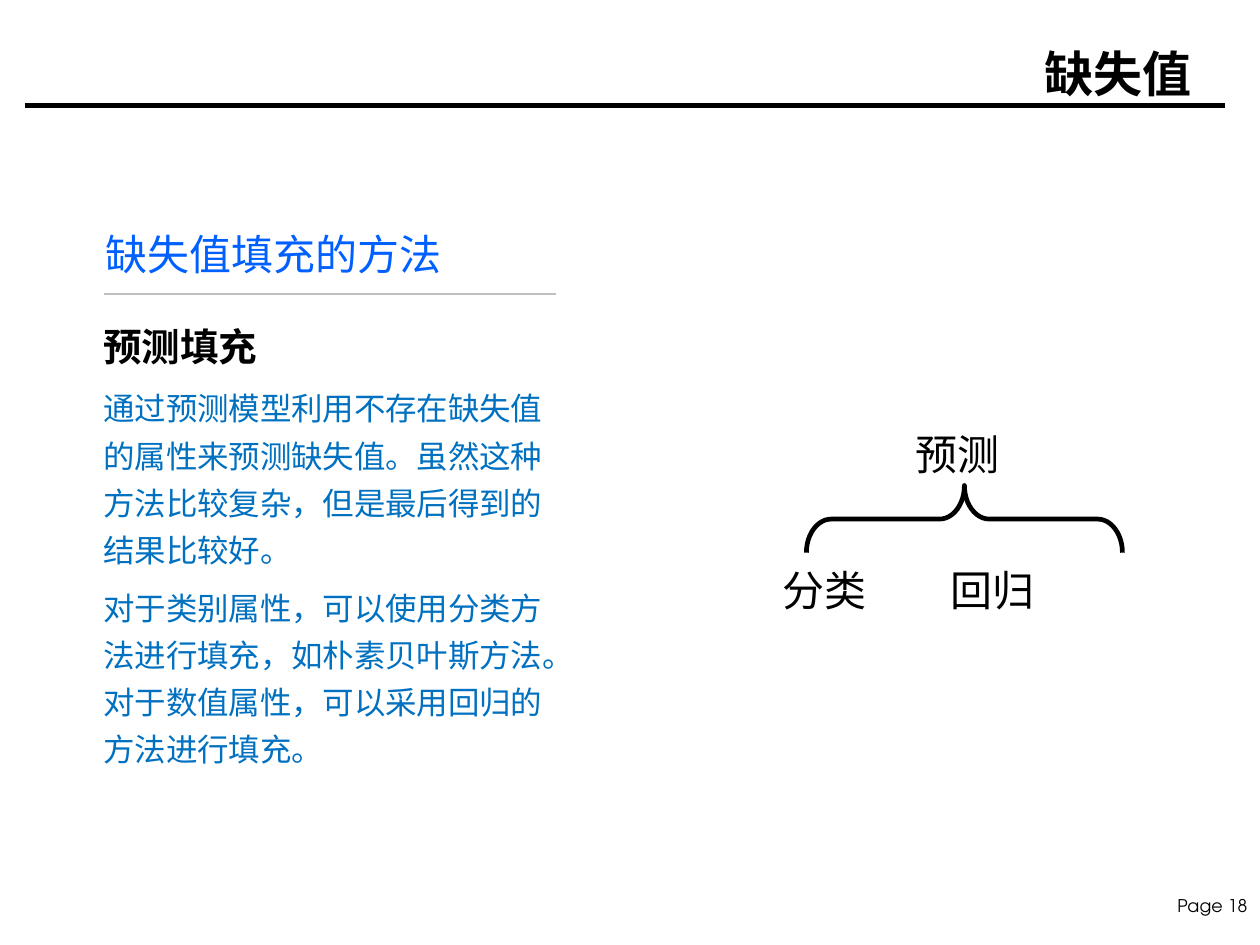
from dataclasses import dataclass

from lxml import etree
from pptx import Presentation
from pptx.dml.color import RGBColor
from pptx.enum.shapes import MSO_CONNECTOR, MSO_SHAPE
from pptx.enum.text import MSO_ANCHOR, MSO_AUTO_SIZE, PP_ALIGN
from pptx.oxml.ns import qn
from pptx.util import Pt

LEFT, RIGHT = PP_ALIGN.LEFT, PP_ALIGN.RIGHT
TOP = MSO_ANCHOR.TOP
NO_AUTOFIT = MSO_AUTO_SIZE.NONE
STRAIGHT = MSO_CONNECTOR.STRAIGHT
LEFT_BRACE = MSO_SHAPE.LEFT_BRACE


@dataclass(frozen=True)
class Theme:
    cjk: str = "Noto Sans CJK SC"
    latin: str = "TeX Gyre Adventor"
    black: str = "000000"
    heading_blue: str = "0060FF"
    body_blue: str = "0070C0"
    gray: str = "BFBFBF"
    title_size: float = 21
    heading_size: float = 18
    subheading_size: float = 16.5
    body_size: float = 13.5
    page_size: float = 7.5


THEME = Theme()


@dataclass(frozen=True)
class Para:
    text: str
    size: float
    color: str = THEME.black
    font: str = THEME.cjk
    bold: bool = False
    align: PP_ALIGN = LEFT
    line_spacing: float = 1.0
    space_before: float = 0
    tab: float = 0


@dataclass(frozen=True)
class TextBlock:
    left: float
    top: float
    width: float
    height: float
    paras: tuple[Para, ...]
    inset: tuple[float, float] = (7.2, 3.6)


@dataclass(frozen=True)
class Rule:
    left: float
    right: float
    y: float
    color: str
    weight: float


def set_all(target, values: dict) -> None:
    for name, value in values.items():
        setattr(target, name, value)


def write_para(para, item: Para) -> None:
    props = para._p.get_or_add_pPr()
    set_all(para, {"alignment": item.align, "line_spacing": item.line_spacing,
                   "space_before": Pt(item.space_before)})
    props.set("marL", "0")
    props.set("indent", "0")
    etree.SubElement(props, qn("a:buNone"))
    if item.tab:
        tabs = etree.SubElement(props, qn("a:tabLst"))
        etree.SubElement(tabs, qn("a:tab"), pos=str(Pt(item.tab)), algn="l")
    span = para.add_run()
    span.text = item.text
    set_all(span.font, {"size": Pt(item.size), "bold": item.bold, "name": item.font})
    span.font.color.rgb = RGBColor.from_string(item.color)
    etree.SubElement(span._r.get_or_add_rPr(), qn("a:ea"), typeface=item.font)


def fill_box(box, block: TextBlock) -> None:
    set_all(box, {name: Pt(getattr(block, name))
                  for name in ("left", "top", "width", "height")})
    frame = box.text_frame
    side, end = (Pt(value) for value in block.inset)
    set_all(frame, {"word_wrap": True, "auto_size": NO_AUTOFIT,
                    "vertical_anchor": TOP, "margin_left": side,
                    "margin_right": side, "margin_top": end, "margin_bottom": end})
    for index, item in enumerate(block.paras):
        write_para(frame.add_paragraph() if index else frame.paragraphs[0], item)


def draw_rule(page, rule: Rule) -> None:
    line = page.shapes.add_connector(
        STRAIGHT, Pt(rule.left), Pt(rule.y), Pt(rule.right), Pt(rule.y))
    line.line.color.rgb = RGBColor.from_string(rule.color)
    line.line.width = Pt(rule.weight)
    etree.SubElement(line._element.spPr, qn("a:effectLst"))


def draw_brace(page) -> None:
    brace = page.shapes.add_shape(LEFT_BRACE, Pt(398.9), Pt(154.8), Pt(28.8), Pt(135.4))
    brace.rotation = 90
    brace.shadow.inherit = False
    brace.adjustments[0] = 0.37
    brace.adjustments[1] = 0.5
    brace.fill.background()
    brace.line.color.rgb = RGBColor.from_string(THEME.black)
    brace.line.width = Pt(2)


TITLE = TextBlock(31.7, 15.1, 486, 67.7, (
    Para("缺失值", THEME.title_size, bold=True, align=RIGHT),))

BODY = TextBlock(38.9, 126, 208.8, 234, (
    Para("预测填充", THEME.subheading_size, bold=True, line_spacing=1.5),
    *(Para(text, THEME.body_size, THEME.body_blue, line_spacing=1.25, space_before=4.5)
      for text in (
          "通过预测模型利用不存在缺失值的属性来预测缺失值。虽然这种方法比较复杂，但是最后得到的结果比较好。",
          "对于类别属性，可以使用分类方法进行填充，如朴素贝叶斯方法。对于数值属性，可以采用回归的方法进行填充。")),
), inset=(5.4, 2.7))

TEXT_BOXES = (
    TextBlock(38.2, 94.3, 208.8, 28.8, (
        Para("缺失值填充的方法", THEME.heading_size, THEME.heading_blue),)),
    TextBlock(385.2, 180, 56.9, 51.1, (Para("预测", THEME.heading_size),)),
    TextBlock(328.3, 238.3, 179.3, 51.1, (
        Para("分类\t回归", THEME.heading_size, tab=96.2),)),
    TextBlock(493.9, 380.9, 46.1, 14.4, (
        Para("Page 18", THEME.page_size, font=THEME.latin, align=RIGHT),),
        inset=(5.4, 2.7)),
)

RULES = (
    Rule(10.8, 524.9, 45.2, THEME.black, 2),
    Rule(44.6, 238.3, 126, THEME.gray, 1),
)


def main() -> None:
    deck = Presentation()
    set_all(deck, {"slide_width": Pt(540), "slide_height": Pt(405)})
    page = deck.slides.add_slide(deck.slide_layouts[1])

    # Title and explanation
    fill_box(page.shapes.title, TITLE)
    fill_box(page.placeholders[1], BODY)

    # Rules, heading, diagram labels and page number
    for rule in RULES:
        draw_rule(page, rule)
    for block in TEXT_BOXES:
        fill_box(page.shapes.add_textbox(0, 0, 0, 0), block)

    # Brace that splits prediction into its two kinds
    draw_brace(page)
    deck.save("out.pptx")


if __name__ == "__main__":
    main()
